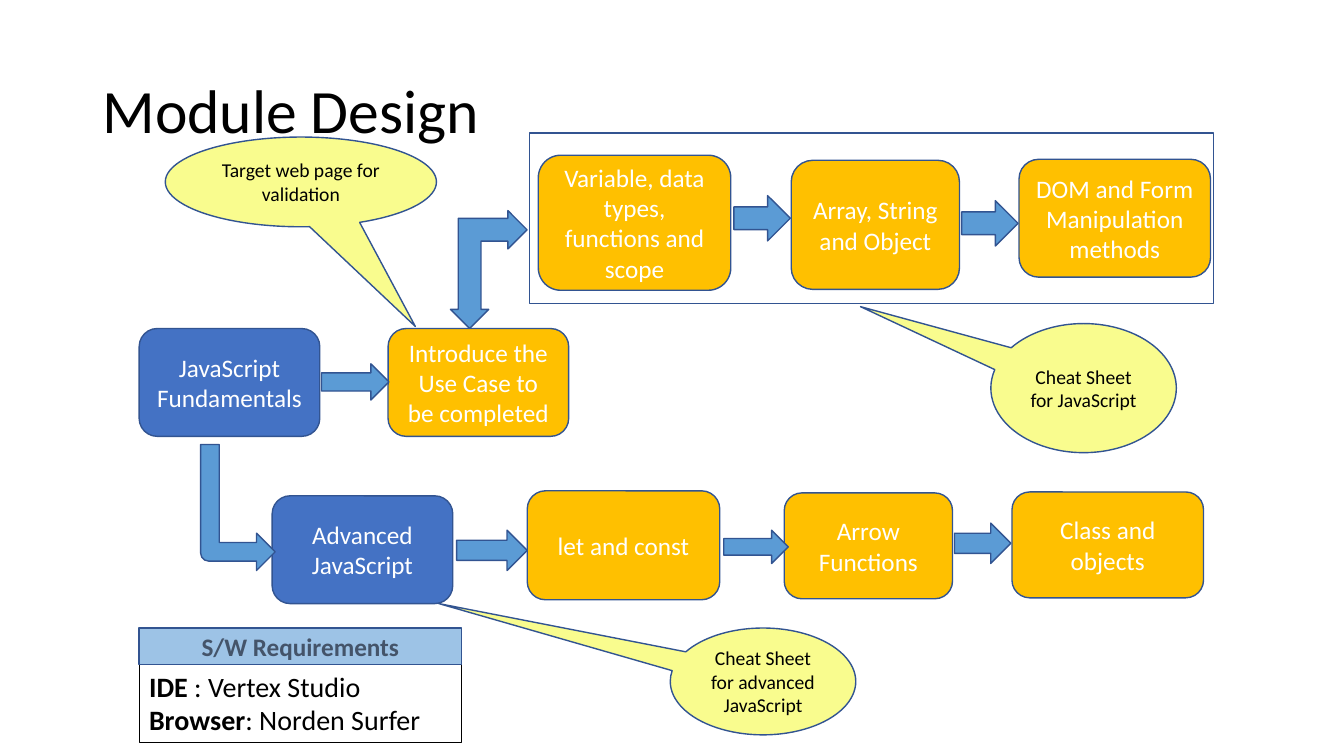
import pptx
import pptx.util
import pptx.dml.color
import pptx.enum.shapes
import pptx.enum.text

Pt = pptx.util.Pt
RGB = pptx.dml.color.RGBColor.from_string
SHAPE = pptx.enum.shapes.MSO_SHAPE
ALIGN = pptx.enum.text.PP_ALIGN
MIDDLE = pptx.enum.text.MSO_ANCHOR.MIDDLE
C = {"black": "000000", "white": "FFFFFF", "slate": "44546A", "line": "325491",
     "gold": "FFC000", "blue": "4472C4", "arrow": "5B9BD5",
     "header": "9DC3E6", "callout": "F9FC8E"}

prs = pptx.Presentation()
prs.slide_width, prs.slide_height = Pt(960), Pt(540)
s = prs.slides.add_slide(prs.slide_layouts[5])


def add_text(p, text, size=18, color="white", bold=False, align=ALIGN.CENTER):
    p.alignment = align
    r = p.add_run()
    r.text = text
    r.font.name = "Calibri"
    r.font.size = Pt(size)
    r.font.bold = bold
    r.font.color.rgb = RGB(C[color])


def add_shape(kind, box, fill, adj=(), flip="", line="line", width=1):
    sp = s.shapes.add_shape(kind, *[Pt(v) for v in box])
    sp.shadow.inherit = False
    if fill:
        sp.fill.solid()
        sp.fill.fore_color.rgb = RGB(C[fill])
    else:
        sp.fill.background()
    sp.line.color.rgb = RGB(C[line])
    sp.line.width = Pt(width)
    for i, value in enumerate(adj):
        sp.adjustments[i] = value
    for axis in flip:
        sp._element.spPr.xfrm.set("flip" + axis, "1")
    sp.text_frame.word_wrap = True
    sp.text_frame.vertical_anchor = MIDDLE
    return sp


# Title
title = s.shapes.title
title.left, title.top, title.width, title.height = Pt(66), Pt(28.8), Pt(828), Pt(104.4)
tf = title.text_frame
tf.word_wrap = True
tf.auto_size = pptx.enum.text.MSO_AUTO_SIZE.NONE
tf.vertical_anchor = MIDDLE
tf.paragraphs[0].line_spacing = 0.9
add_text(tf.paragraphs[0], "Module Design", size=44, color="black", align=ALIGN.LEFT)

# Software requirements
sp = add_shape(SHAPE.RECTANGLE, (99.4, 474.5, 230.4, 55.4), None, line="black", width=0.25)
tf = sp.text_frame
tf.vertical_anchor = pptx.enum.text.MSO_ANCHOR.TOP
for i, (label, value) in enumerate([("IDE", " : Vertex Studio"),
                                    ("Browser", ": Norden Surfer")]):
    p = tf.add_paragraph() if i else tf.paragraphs[0]
    add_text(p, label, size=20, color="black", bold=True, align=ALIGN.LEFT)
    add_text(p, value, size=20, color="black", align=ALIGN.LEFT)
sp = add_shape(SHAPE.RECTANGLE, (99.4, 448.6, 230.4, 25.9), "header")
add_text(sp.text_frame.paragraphs[0], "S/W Requirements", color="slate", bold=True)

# Frame around the fundamentals topics
add_shape(SHAPE.RECTANGLE, (378, 95, 488.9, 121.7), "white")

# Module boxes
modules = [
    ("JavaScript Fundamentals", "blue", (99.4, 234.7, 129, 77)),
    ("Introduce the Use Case to be completed", "gold", (277.2, 234.7, 129, 77)),
    ("Variable, data types, functions and scope", "gold", (384.5, 110.9, 137.5, 96.5)),
    ("Array, String and Object", "gold", (565.2, 114.5, 120.2, 92.2)),
    ("DOM and Form Manipulation methods", "gold", (727.9, 113.8, 136.8, 84.2)),
    ("Advanced JavaScript", "blue", (194.4, 354.2, 129, 77)),
    ("let and const", "gold", (376.6, 350.6, 137.5, 77.8)),
    ("Arrow Functions", "gold", (560.2, 352.1, 120.2, 75.6)),
    ("Class and objects", "gold", (722.9, 351.4, 136.8, 75.6)),
]
for text, fill, box in modules:
    sp = add_shape(SHAPE.ROUNDED_RECTANGLE, box, fill)
    add_text(sp.text_frame.paragraphs[0], text)

# Straight block arrows
for box in [(524.2, 139.7, 40.3, 32.4), (686.9, 143.3, 40.3, 32.4),
            (229.7, 259.9, 48.2, 25.9), (326.2, 378.7, 50.4, 28.8),
            (517, 378.7, 46.1, 23.8), (681.8, 373.7, 40.3, 28.8)]:
    add_shape(SHAPE.RIGHT_ARROW, box, "arrow")

# Turning block arrows
add_shape(SHAPE.LEFT_UP_ARROW, (321.8, 150.5, 54.7, 84.2), "arrow",
          adj=(0.297, 0.25, 0.25), flip="HV")
add_shape(SHAPE.BENT_ARROW, (143.3, 317.5, 53.3, 90), "arrow",
          adj=(0.25, 0.25, 0.25, 0.112), flip="V")

# Callouts
callouts = [
    ("Target web page for validation", (118.1, 97.9, 193.7, 64.1), (0.422, 1.611)),
    ("Cheat Sheet for JavaScript", (707.8, 231.1, 132.5, 92.2), (-1.203, -0.631)),
    ("Cheat Sheet for advanced JavaScript", (478.8, 448.6, 132.5, 76.3), (-1.748, -0.729)),
]
for text, box, tip in callouts:
    sp = add_shape(SHAPE.OVAL_CALLOUT, box, "callout", adj=tip)
    add_text(sp.text_frame.paragraphs[0], text, size=14, color="black")

prs.save("out.pptx")
